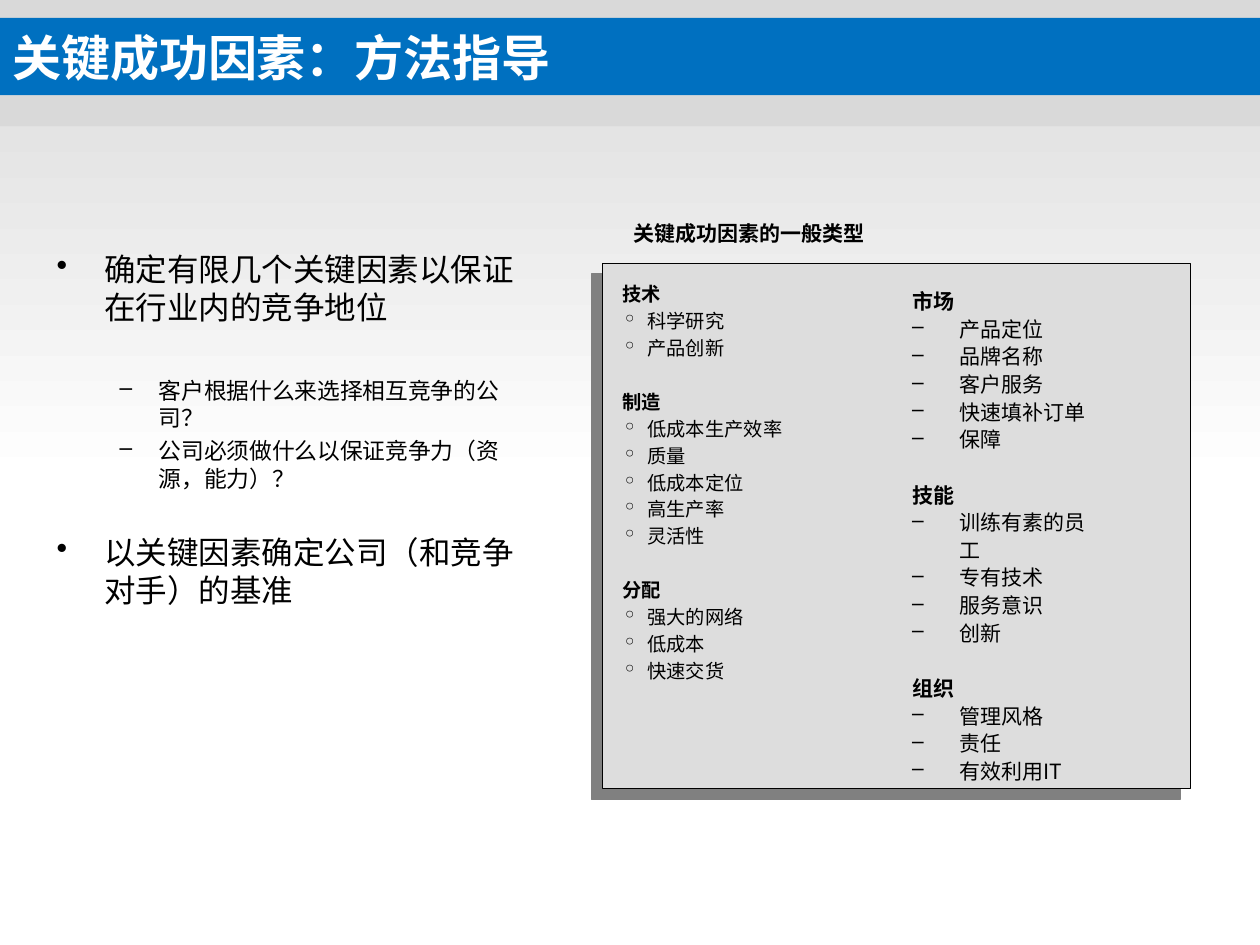
from dataclasses import dataclass

from lxml import etree
from pptx import Presentation
from pptx import util as u
from pptx.dml.color import RGBColor
from pptx.enum import shapes, text
from pptx.oxml import ns

CJK = "Noto Sans CJK SC"
BLACK = "000000"


@dataclass(frozen=True)
class Style:
    """Look of one kind of paragraph; indents in cm, the rest in points."""
    size: float
    pitch: float
    indent: float
    hang: float
    bullet: str = ""
    bold: bool = False


@dataclass(frozen=True)
class Line:
    words: str
    style: Style
    before: float = 0


@dataclass(frozen=True)
class Group:
    heading: str
    items: tuple[str, ...]


@dataclass(frozen=True)
class Column:
    groups: tuple[Group, ...]
    heading: Style
    item: Style
    item_gap: float
    group_gap: float


POINT = Style(18, 21.7, 0.96, -0.96, "•")
SUBPOINT = Style(13, 15.6, 2.06, -0.79, "–")
GUIDANCE = [
    Line("确定有限几个关键因素以保证在行业内的竞争地位", POINT),
    Line("客户根据什么来选择相互竞争的公司？", SUBPOINT, 29),
    Line("公司必须做什么以保证竞争力（资源，能力）？", SUBPOINT, 3.3),
    Line("以关键因素确定公司（和竞争对手）的基准", POINT, 23.4),
]
OPERATIONS = Column(
    (
        Group("技术", ("科学研究", "产品创新")),
        Group("制造", ("低成本生产效率", "质量", "低成本定位", "高生产率", "灵活性")),
        Group("分配", ("强大的网络", "低成本", "快速交货")),
    ),
    Style(11, 10.56, 1.5, -0.51, bold=True),
    Style(11, 10.56, 1.5, -0.51, "◦"),
    4.8, 20.2,
)
CAPABILITIES = Column(
    (
        Group("市场", ("产品定位", "品牌名称", "客户服务", "快速填补订单", "保障")),
        Group("技能", ("训练有素的员工", "专有技术", "服务意识", "创新")),
        Group("组织", ("管理风格", "责任", "有效利用IT")),
    ),
    Style(12, 15.8, 0.96, -0.96, bold=True),
    Style(12, 15.8, 0.96, -0.96, "–"),
    0, 15.8,
)


def color(value: str) -> RGBColor:
    return RGBColor.from_string(value)


def add_xml(parent, tag: str, **attributes: str):
    return etree.SubElement(parent, ns.qn(tag), attributes)


def add_rectangle(page, left: float, top: float, width: float, height: float, fill: str):
    box = page.shapes.add_shape(
        shapes.MSO_SHAPE.RECTANGLE, u.Cm(left), u.Cm(top), u.Cm(width), u.Cm(height))
    box.shadow.inherit = False
    box.fill.solid()
    box.fill.fore_color.rgb = color(fill)
    box.line.fill.background()
    return box


def add_textbox(page, left: float, top: float, width: float, height: float,
                inset: float = 0.13):
    box = page.shapes.add_textbox(u.Cm(left), u.Cm(top), u.Cm(width), u.Cm(height))
    box.text_frame.word_wrap = True
    box.text_frame.margin_top = u.Cm(inset)
    return box


def format_runs(para, size: float, bold: bool, fill: str = BLACK, latin: str = CJK) -> None:
    for span in para.runs:
        span.font.size = u.Pt(size)
        span.font.bold = bold
        span.font.color.rgb = color(fill)
        span.font.name = latin
        add_xml(span.font._element, "a:ea", typeface=CJK)


def write_lines(box, lines: list[Line]) -> None:
    frame = box.text_frame
    frame.text = "\n".join(line.words for line in lines)
    for para, line in zip(frame.paragraphs, lines):
        style = line.style
        properties = para._p.get_or_add_pPr()
        properties.set("marL", str(u.Cm(style.indent)))
        properties.set("indent", str(u.Cm(style.hang)))
        if style.bullet:
            add_xml(add_xml(properties, "a:buClr"), "a:srgbClr", val=BLACK)
            add_xml(properties, "a:buChar", char=style.bullet)
        para.line_spacing = u.Pt(style.pitch)
        para.space_before = u.Pt(line.before)
        format_runs(para, style.size, style.bold)


def column_lines(column: Column) -> list[Line]:
    lines = []
    for group in column.groups:
        lines.append(Line(group.heading, column.heading, column.group_gap if lines else 0))
        lines += [Line(item, column.item, column.item_gap) for item in group.items]
    return lines


def main() -> None:
    deck = Presentation()
    deck.slide_width, deck.slide_height = u.Cm(25.4), u.Cm(19.05)
    page = deck.slides.add_slide(deck.slide_layouts[6])

    # Shaded backdrop and title bar
    backdrop = add_rectangle(page, 0, 0, 25.4, 9.73, "D9D9D9")
    backdrop.fill.gradient()
    backdrop.fill.gradient_angle = 270
    for stop, position, value in zip(backdrop.fill.gradient_stops, (0, 1), ("D9D9D9", "FFFFFF")):
        stop.position = position
        stop.color.rgb = color(value)
    add_rectangle(page, 0, 1.93, 25.4, 0.61, "D9D9D9")
    title = add_rectangle(page, 0, 0.36, 25.4, 1.56, "0070C0")
    title.text_frame.text = "关键成功因素：方法指导"
    title.text_frame.vertical_anchor = text.MSO_ANCHOR.MIDDLE
    title_para = title.text_frame.paragraphs[0]
    title_para.alignment = text.PP_ALIGN.LEFT
    format_runs(title_para, 28, True, "FFFFFF", "Arial")

    # Guidance on the left
    write_lines(add_textbox(page, 0.89, 3.91, 9.75, 11.79, 1.13), GUIDANCE)

    # Caption above the panel
    caption = add_textbox(page, 12.52, 4.32, 5.16, 0.76)
    caption.text_frame.text = "关键成功因素的一般类型"
    caption.text_frame.word_wrap = False
    caption.text_frame.vertical_anchor = text.MSO_ANCHOR.MIDDLE
    caption_para = caption.text_frame.paragraphs[0]
    caption_para.alignment = text.PP_ALIGN.CENTER
    format_runs(caption_para, 12, True)

    # Panel with a hard shadow to the lower left
    panel = add_rectangle(page, 12.14, 5.31, 11.86, 10.59, "DDDDDD")
    panel.line.color.rgb = color(BLACK)
    panel.line.width = u.Pt(0.75)
    effects = panel._element.spPr.find(ns.qn("a:effectLst"))
    shadow = add_xml(effects, "a:outerShdw", dist=str(u.Pt(8.5)), dir="8100000",
                     algn="ctr", rotWithShape="0")
    add_xml(shadow, "a:srgbClr", val="808080")

    # Factor types in two columns
    write_lines(add_textbox(page, 11.3, 5.61, 6.78, 10.11, 0.18), column_lines(OPERATIONS))
    write_lines(add_textbox(page, 18.14, 5.61, 4.42, 9.75, 0.16), column_lines(CAPABILITIES))

    deck.save("out.pptx")


if __name__ == "__main__":
    main()
